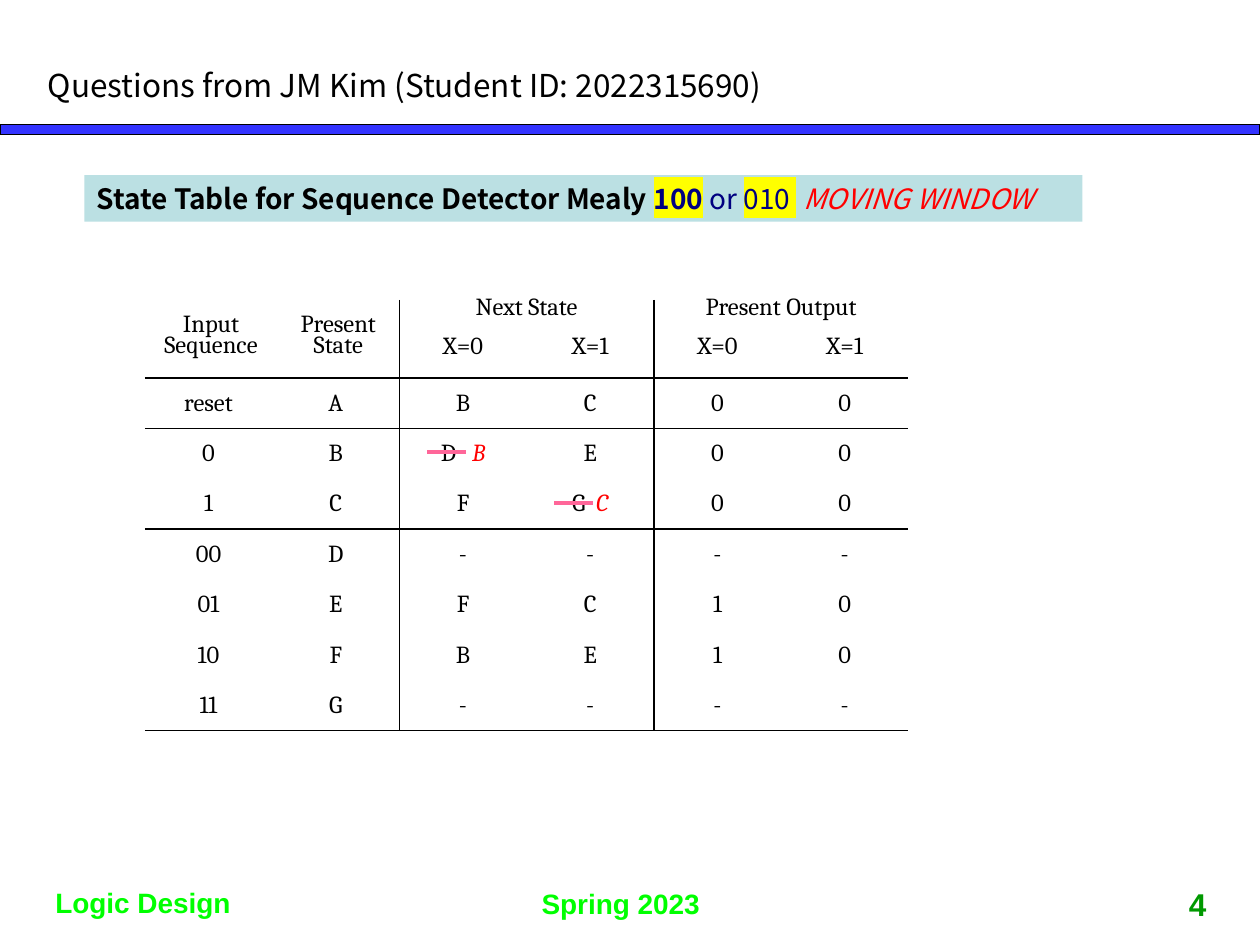
from lxml.etree import SubElement
from pptx import Presentation
from pptx.dml.color import RGBColor as RGB
from pptx.enum.shapes import MSO_CONNECTOR as Link, MSO_SHAPE as Form
from pptx.enum.text import MSO_ANCHOR as Anchor, MSO_AUTO_SIZE as Auto, PP_ALIGN as Align
from pptx.oxml import parse_xml
from pptx.oxml.ns import nsdecls, qn
from pptx.util import Inches, Pt

THEME = dict(
    black="000000", bar="3333FF", foot="00FF00", page="009900", band="BBE0E3",
    navy="000080", mark="FFFF00", red="FF0000", strike="FF6699",
    sans="Noto Sans CJK KR", serif="Cambria", plain="Arial",
    title=18, head=16, cell=14, note=16, num=18,
)

TITLE = "Questions from JM Kim (Student ID: 2022315690)"
HEAD = [
    ("State Table for Sequence Detector Mealy ", dict(bold=True)),
    ("100", dict(bold=True, color="navy", mark="mark")),
    (" or ", dict(color="navy")),
    ("010", dict(color="navy", mark="mark")),
    (" ", dict(color="navy", mark="mark", track=4)),
    ("MOVING WINDOW", dict(color="red", italic=True)),
]
FIX = dict(color="red", italic=True)
ROWS = [
    ["Input Sequence", "Present State", "Next State", "", "Present Output", ""],
    ["", "", "X=0", "X=1", "X=0", "X=1"],
    ["reset", "A", "B", "C", "0", "0"],
    ["0", "B", [("D", {}), (" ", dict(track=6)), ("B", FIX)], "E", "0", "0"],
    ["1", "C", "F", [("G", {}), (" ", dict(track=3)), ("C", FIX)], "0", "0"],
    ["00", "D", "-", "-", "-", "-"],
    ["01", "E", "F", "C", "1", "0"],
    ["10", "F", "B", "E", "1", "0"],
    ["11", "G", "-", "-", "-", "-"],
]
MERGES = [(0, 0, 1, 0), (0, 1, 1, 1), (0, 2, 0, 3), (0, 4, 0, 5)]
RULES = {"row": (2, 3, 5, 9), "col": (2, 4)}
LEFT, TOP, COL = 1.15, 2.38, 1.01
HIGH = [0.26, 0.36] + [0.4] * 7
STRIKES = [(3.39, 3.59), (4.4, 3.99)]
NOTES = [
    ("Logic Design", (0.27, 6.98, 1.73, 0.37), Align.CENTER, Anchor.TOP, "foot", "note"),
    ("Spring 2023", (4.2, 6.99, 1.59, 0.37), Align.LEFT, Anchor.TOP, "foot", "note"),
    ("4", (9.13, 6.9, 0.75, 0.47), Align.CENTER, Anchor.BOTTOM, "page", "num"),
]


def tint(name):
    return RGB.from_string(THEME[name])


def place(shape, box):
    for key, val in zip(("left", "top", "width", "height"), box):
        setattr(shape, key, Inches(val))


def write(frame, runs, font, size, align=Align.LEFT, **extra):
    """Fill the first paragraph with a string or a list of (text, format) runs."""
    para = frame.paragraphs[0]
    for key, val in dict(alignment=align, **extra).items():
        setattr(para, key, val)
    for text, form in [(runs, {})] if isinstance(runs, str) else runs:
        run = para.add_run()
        run.text = text
        look = dict(name=THEME[font], size=Pt(THEME[size]),
                    bold=form.get("bold", False), italic=form.get("italic", False))
        for key, val in look.items():
            setattr(run.font, key, val)
        run.font.color.rgb = tint(form.get("color", "black"))
        props = run.font.fill._xPr
        if "track" in form:
            props.set("spc", str(form["track"] * 100))
        if "mark" in form:
            props.find(qn("a:solidFill")).addnext(parse_xml(
                f'<a:highlight {nsdecls("a")}><a:srgbClr val="{THEME[form["mark"]]}"/></a:highlight>'))
    return para


def add_rect(slide, box, fill):
    rect = slide.shapes.add_shape(Form.RECTANGLE, *map(Inches, box))
    rect.shadow.inherit = False
    rect.fill.solid()
    rect.fill.fore_color.rgb = tint(fill)
    rect.line.fill.background()
    return rect


def edge(cell, side, shown):
    line = SubElement(cell._tc.get_or_add_tcPr(), qn(f"a:ln{side}"), w=str(Pt(1)))
    if shown:
        fill = SubElement(line, qn("a:solidFill"))
        SubElement(fill, qn("a:srgbClr"), val=THEME["black"])
    else:
        SubElement(line, qn("a:noFill"))


def add_states(slide):
    wide = len(ROWS[0])
    table = slide.shapes.add_table(len(ROWS), wide, *map(
        Inches, (LEFT, TOP, COL * wide, sum(HIGH)))).table
    table.first_row = table.horz_banding = False
    for col in table.columns:
        col.width = Inches(COL)
    for row, high in zip(table.rows, HIGH):
        row.height = Inches(high)
    for r1, c1, r2, c2 in MERGES:
        table.cell(r1, c1).merge(table.cell(r2, c2))
    pad = dict(margin_left=Inches(0.04), margin_right=Inches(0.04),
               margin_top=0, margin_bottom=0, vertical_anchor=Anchor.MIDDLE)
    for r, row in enumerate(ROWS):
        for c, text in enumerate(row):
            cell = table.cell(r, c)
            for key, val in pad.items():
                setattr(cell, key, val)
            for side, way, at in (("L", "col", c), ("R", "col", c + cell.span_width),
                                  ("T", "row", r), ("B", "row", r + cell.span_height)):
                edge(cell, side, at in RULES[way])
            cell.fill.background()
            if not text:
                continue
            tall = cell.span_height > 1
            gap = 12 if tall else 6 if r < 2 else 16
            para = write(cell.text_frame, text, "serif", "cell", Align.CENTER,
                         line_spacing=Pt(gap), space_before=Pt(6 if tall else 0))
            if tall:
                para._p.get_or_add_pPr().set("marL", str(Inches(0.04)))


def add_strike(slide, x, y):
    line = slide.shapes.add_connector(Link.STRAIGHT, *map(Inches, (x, y, x + 0.31, y)))
    line.line.color.rgb = tint("strike")
    line.line.width = Pt(2.25)
    SubElement(line._element.spPr, qn("a:effectLst"))


def main():
    deck = Presentation()
    deck.slide_width, deck.slide_height = Inches(10), Inches(7.5)
    slide = deck.slides.add_slide(deck.slide_layouts[5])

    title = slide.shapes.title
    place(title, (0.28, 0.47, 7.4, 0.4))
    title.text_frame.auto_size = Auto.NONE
    write(title.text_frame, TITLE, "sans", "title")

    bar = add_rect(slide, (0, 0.99, 10, 0.08), "bar")
    bar.line.color.rgb = tint("black")
    bar.line.width = Pt(0.75)

    band = add_rect(slide, (0.67, 1.39, 7.92, 0.37), "band")
    write(band.text_frame, HEAD, "sans", "head")

    add_states(slide)
    for x, y in STRIKES:
        add_strike(slide, x, y)

    for text, box, align, anchor, color, size in NOTES:
        frame = slide.shapes.add_textbox(*map(Inches, box)).text_frame
        frame.word_wrap = True
        frame.vertical_anchor = anchor
        write(frame, [(text, dict(bold=True, color=color))], "plain", size, align)

    deck.save("out.pptx")


if __name__ == "__main__":
    main()
